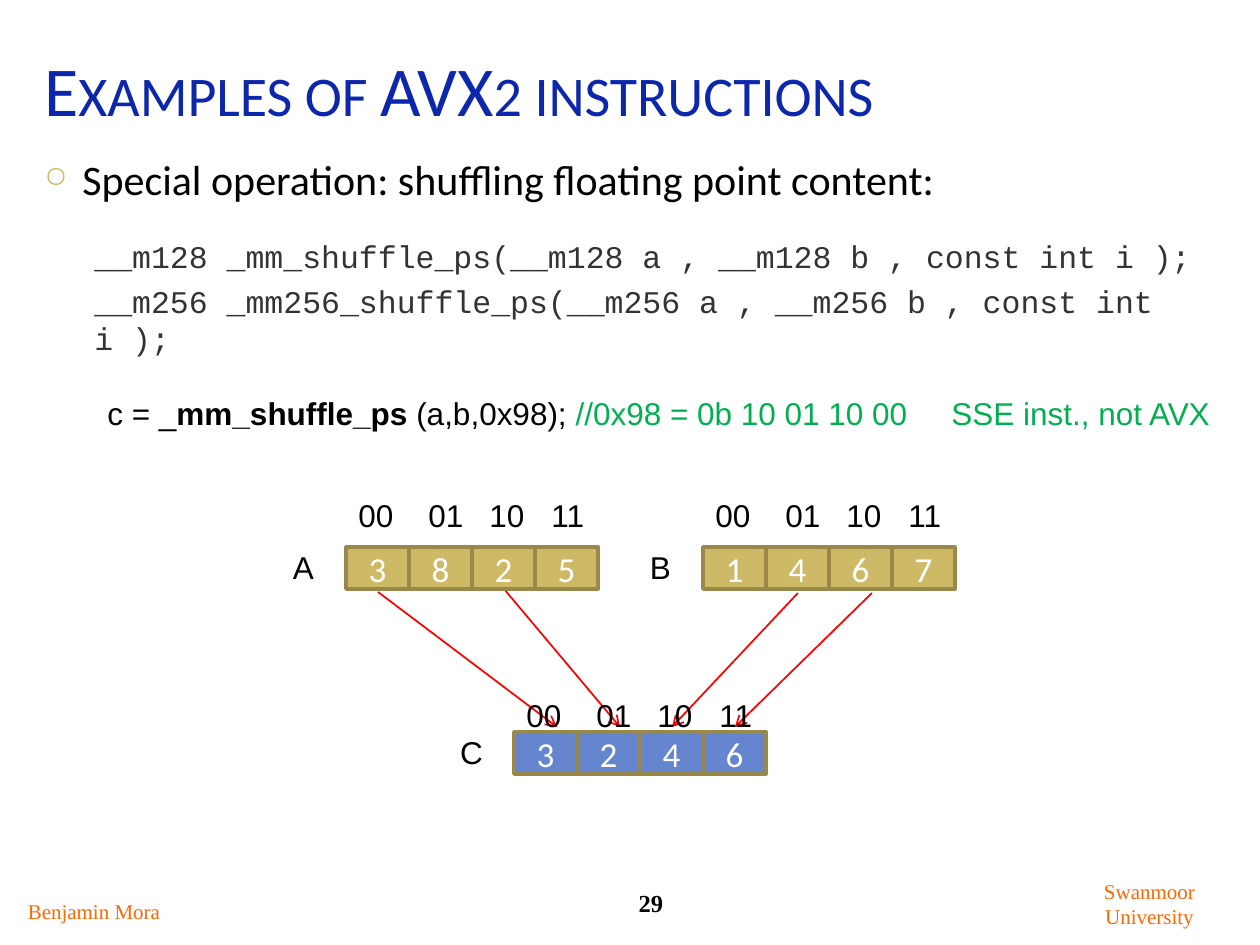
from lxml import etree
from pptx import Presentation
from pptx import util as u
from pptx.dml.color import RGBColor
from pptx.enum import shapes, text
from pptx.oxml import ns

EMU_PER_PX = 914400 / 126
NAVY = RGBColor(0x0C, 0x27, 0xAC)
BLACK = RGBColor(0, 0, 0)
GREY = RGBColor(0x33, 0x33, 0x33)
WHITE = RGBColor(0xFF, 0xFF, 0xFF)
GOLD = RGBColor(0xCE, 0xB9, 0x66)
BLUE = RGBColor(0x65, 0x85, 0xCF)
BRONZE = RGBColor(0x98, 0x89, 0x4B)
RED = RGBColor(0xFF, 0, 0)
GREEN = RGBColor(0, 0xB0, 0x50)
ORANGE = RGBColor(0xFF, 0x66, 0)
CELL_W, CELL_H = 63, 42
INDEX_TABS = (70, 131, 193)


def px(length):
    return u.Emu(round(length * EMU_PER_PX))


def add_xml(parent, tag, **attributes):
    return etree.SubElement(parent, ns.qn(tag), attributes)


def style(run, font, size, color, bold=False):
    run.font.name = font
    run.font.size = u.Pt(size)
    run.font.color.rgb = color
    run.font.bold = bold


def add_text(slide, box, words, font, size, color, bold=False, centred=False):
    frame = slide.shapes.add_textbox(*map(px, box)).text_frame
    frame.word_wrap = True
    frame.text = words
    for paragraph in frame.paragraphs:
        if centred:
            paragraph.alignment = text.PP_ALIGN.CENTER
        style(paragraph.runs[0], font, size, color, bold)
    return frame


def set_tabs(paragraph, stops):
    tabs = add_xml(paragraph._p.get_or_add_pPr(), "a:tabLst")
    for stop in stops:
        add_xml(tabs, "a:tab", pos=str(px(stop)), algn="l")


def add_title(slide, box):
    title = add_text(slide, box, "Examples of AVX2 instructions", "Calibri", 40, NAVY)
    title.vertical_anchor = text.MSO_ANCHOR.BOTTOM
    title.paragraphs[0].runs[0].font._element.set("cap", "small")


def add_body(slide, box):
    body = add_text(slide, box, "\n".join((
        "Special operation: shuffling floating point content:",
        "__m128 _mm_shuffle_ps(__m128 a , __m128 b , const int i );",
        "__m256 _mm256_shuffle_ps(__m256 a , __m256 b , const int i );",
    )), "Courier New", 18, GREY)
    heading, *signatures = body.paragraphs
    style(heading.runs[0], "Calibri", 24, BLACK)
    heading.space_before = u.Pt(6)
    bullet = heading._p.get_or_add_pPr()
    bullet.set("marL", str(px(38)))
    bullet.set("indent", str(px(-38)))
    add_xml(add_xml(bullet, "a:buClr"), "a:srgbClr", val=str(GOLD))
    add_xml(bullet, "a:buSzPct", val="70000")
    add_xml(bullet, "a:buChar", char="○")
    for signature, gap in zip(signatures, (19, 4)):
        signature.space_before = u.Pt(gap)
        signature._p.get_or_add_pPr().set("marL", str(px(50)))


def add_call(slide, box):
    call = add_text(slide, box, "c = _", "Arial", 18, BLACK).paragraphs[0]
    for words, color, bold in (
        ("mm_shuffle_ps", BLACK, True),
        (" (a,b,0x98); ", BLACK, False),
        ("//0x98 = 0b 10 01 10 00\tSSE inst., not AVX", GREEN, False),
    ):
        run = call.add_run()
        run.text = words
        style(run, "Arial", 18, color, bold)
    set_tabs(call, (844,))


def add_register(slide, left, top, name, values, fill, index_rise):
    for position, value in enumerate(values):
        cell = slide.shapes.add_shape(
            shapes.MSO_SHAPE.RECTANGLE,
            *map(px, (left + position * CELL_W, top, CELL_W, CELL_H)))
        cell.shadow.inherit = False
        cell.fill.solid()
        cell.fill.fore_color.rgb = fill
        cell.line.color.rgb = BRONZE
        cell.line.width = u.Pt(2)
        frame = cell.text_frame
        frame.text = value
        frame.vertical_anchor = text.MSO_ANCHOR.MIDDLE
        frame.paragraphs[0].alignment = text.PP_ALIGN.CENTER
        style(frame.paragraphs[0].runs[0], "Calibri", 20, WHITE)
    add_text(slide, (left - 74, top - 5, CELL_W, 50), name, "Arial", 18, BLACK, centred=True)
    indices = add_text(slide, (left, top - index_rise, 253, 50),
                       "00\t01\t10\t11", "Arial", 18, BLACK)
    set_tabs(indices.paragraphs[0], INDEX_TABS)


def add_arrow(slide, start, end):
    arrow = slide.shapes.add_connector(
        shapes.MSO_CONNECTOR.STRAIGHT, *map(px, start + end))
    arrow.line.color.rgb = RED
    arrow.line.width = u.Pt(1)
    add_xml(arrow.line._get_or_add_ln(), "a:tailEnd", type="arrow")
    add_xml(arrow._element.spPr, "a:effectLst")


def add_shuffle(slide, left, top):
    for start, end in (
        ((32, 45), (211, 180)),
        ((158, 42), (274, 180)),
        ((452, 46), (326, 180)),
        ((526, 46), (389, 180)),
    ):
        add_arrow(slide, (left + start[0], top + start[1]), (left + end[0], top + end[1]))
    add_register(slide, left, top, "A", "3825", GOLD, 57)
    add_register(slide, left + 357, top, "B", "1467", GOLD, 57)
    add_register(slide, left + 168, top + 185, "C", "3246", BLUE, 42)


def add_footer(slide, left, top):
    for box, words, size, color, bold in (
        ((left + 557, top + 10, 168, 42), "29", 14, BLACK, True),
        ((left, top + 20, 168, 38), "Benjamin Mora", 12, ORANGE, False),
        ((left + 1040, top, 199, 38), "Swanmoor University", 12, ORANGE, False),
    ):
        add_text(slide, box, words, "Times New Roman", size, color, bold, centred=True)


def main():
    deck = Presentation()
    deck.slide_width, deck.slide_height = px(1260), px(945)
    slide = deck.slides.add_slide(deck.slide_layouts[6])
    add_title(slide, (32, 21, 1197, 116))
    add_body(slide, (32, 147, 1197, 725))
    add_footer(slide, 10, 872)
    add_call(slide, (95, 388, 1134, 50))
    add_shuffle(slide, 346, 547)
    deck.save("out.pptx")


if __name__ == "__main__":
    main()
